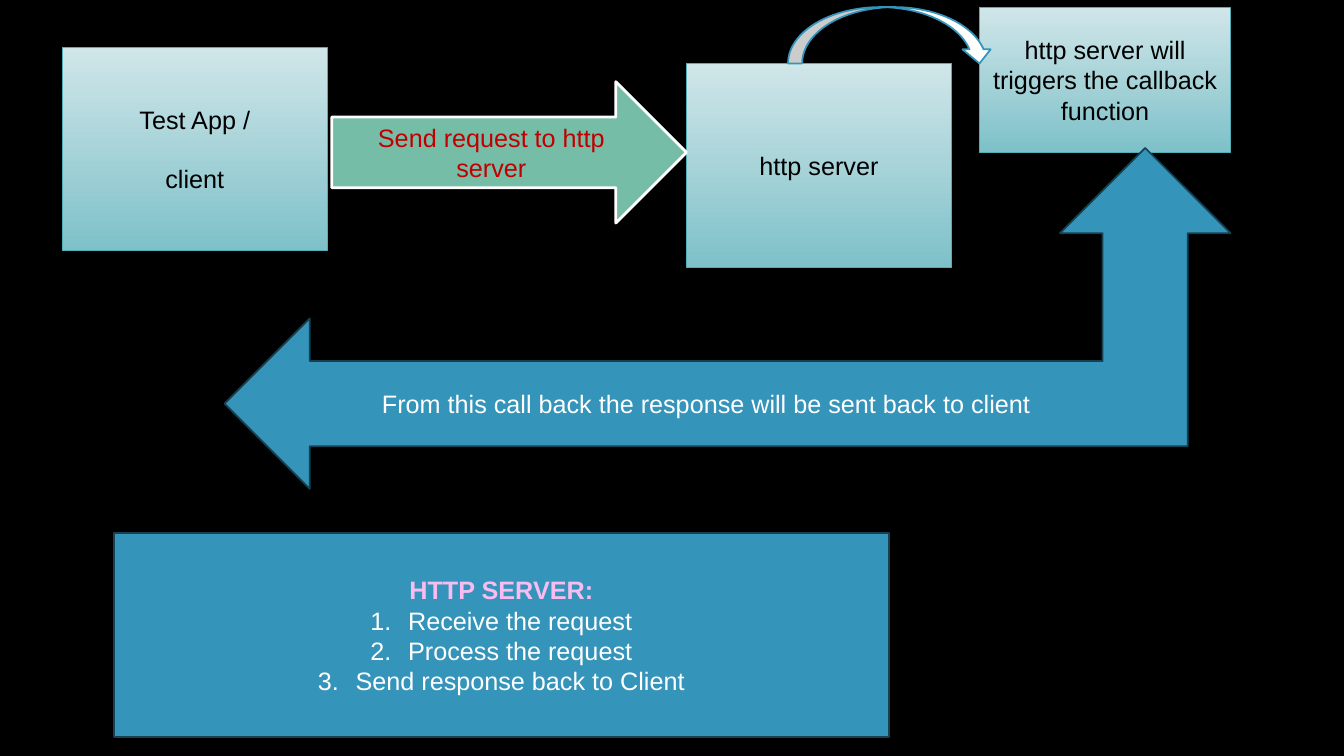
from dataclasses import dataclass

from pptx import Presentation
from pptx.dml.color import RGBColor
from pptx.enum.shapes import MSO_SHAPE
from pptx.enum.text import MSO_ANCHOR, PP_ALIGN
from pptx.oxml.ns import qn
from pptx.util import Cm, Pt
from lxml.etree import SubElement


@dataclass(frozen=True)
class Theme:
    font: str = "Arial"
    size: float = 18
    paragraph_gap: float = 20.7
    background: str = "000000"
    dark: str = "000000"
    light: str = "FFFFFF"
    red: str = "C00000"
    pink: str = "F8BCF1"
    blue: str = "3494BA"
    blue_edge: str = "174152"
    green: str = "75BDA7"
    box_top: str = "D0E6E9"
    box_bottom: str = "7EC1C9"
    box_edge: str = "54AEB7"


def rgb(value):
    return RGBColor.from_string(value)


def write_text(paragraph, text, theme, color, bold=False, numbered=False, space_before=0):
    paragraph.alignment = PP_ALIGN.CENTER
    if space_before:
        paragraph.space_before = Pt(space_before)
    if numbered:
        properties = paragraph._p.get_or_add_pPr()
        properties.set("marL", str(Cm(0.95)))
        properties.set("indent", str(-Cm(0.95)))
        SubElement(properties, qn("a:buFont"), typeface=theme.font)
        SubElement(properties, qn("a:buAutoNum"), type="arabicPeriod")
    run = paragraph.add_run()
    run.text = text
    run.font.name = theme.font
    run.font.size = Pt(theme.size)
    run.font.bold = bold
    run.font.color.rgb = rgb(color)


class SlideBuilder:
    def __init__(self, slide, theme):
        self.slide = slide
        self.theme = theme
        slide.background.fill.solid()
        slide.background.fill.fore_color.rgb = rgb(theme.background)

    def shape(self, kind, position, fill, edge, edge_width=1.25):
        shape = self.slide.shapes.add_shape(kind, *map(Cm, position))
        shape.shadow.inherit = False
        shape.fill.solid()
        shape.fill.fore_color.rgb = rgb(fill)
        shape.line.color.rgb = rgb(edge)
        shape.line.width = Pt(edge_width)
        frame = shape.text_frame
        frame.word_wrap = True
        frame.vertical_anchor = MSO_ANCHOR.MIDDLE
        return shape

    def process_box(self, position, *lines):
        theme = self.theme
        shape = self.shape(MSO_SHAPE.FLOWCHART_PROCESS, position,
                           theme.box_top, theme.box_edge, 0.75)
        shape.fill.gradient()
        shape.fill.gradient_angle = 270
        colors = (theme.box_top, theme.box_bottom)
        for stop, offset, color in zip(shape.fill.gradient_stops, (0, 1), colors):
            stop.position = offset
            stop.color.rgb = rgb(color)
        frame = shape.text_frame
        write_text(frame.paragraphs[0], lines[0], theme, theme.dark)
        for line in lines[1:]:
            write_text(frame.add_paragraph(), line, theme, theme.dark,
                       space_before=theme.paragraph_gap)

    def arrow(self, kind, position, fill, edge, edge_width=1.25, text="", color=""):
        shape = self.shape(kind, position, fill, edge, edge_width)
        if text:
            write_text(shape.text_frame.paragraphs[0], text, self.theme, color)

    def numbered_panel(self, position, heading, steps):
        theme = self.theme
        shape = self.shape(MSO_SHAPE.RECTANGLE, position, theme.blue, theme.blue_edge)
        frame = shape.text_frame
        write_text(frame.paragraphs[0], heading, theme, theme.pink, bold=True)
        for step in steps:
            write_text(frame.add_paragraph(), step, theme, theme.light, numbered=True)


def main():
    presentation = Presentation()
    presentation.slide_width = Cm(33.87)
    presentation.slide_height = Cm(19.05)
    theme = Theme()
    builder = SlideBuilder(presentation.slides.add_slide(presentation.slide_layouts[6]), theme)

    builder.process_box((1.57, 1.19, 6.68, 5.13), "Test App /", "client")
    builder.process_box((17.3, 1.6, 6.68, 5.13), "http server")
    builder.process_box((24.69, 0.18, 6.32, 3.66),
                        "http server will triggers the callback function")
    builder.arrow(MSO_SHAPE.RIGHT_ARROW, (8.36, 2.06, 8.94, 3.56), theme.green, theme.light, 2,
                  "Send request to http server", theme.red)
    builder.arrow(MSO_SHAPE.LEFT_UP_ARROW, (5.66, 3.73, 25.35, 8.59), theme.blue, theme.blue_edge,
                  text="From this call back the response will be sent back to client",
                  color=theme.light)
    builder.arrow(MSO_SHAPE.CURVED_DOWN_ARROW, (19.86, 0.18, 5.18, 1.42), theme.light, theme.blue)
    builder.numbered_panel((2.87, 13.44, 19.53, 5.13), "HTTP SERVER:",
                           ("Receive the request", "Process the request",
                            "Send response back to Client"))
    presentation.save("out.pptx")


if __name__ == "__main__":
    main()
